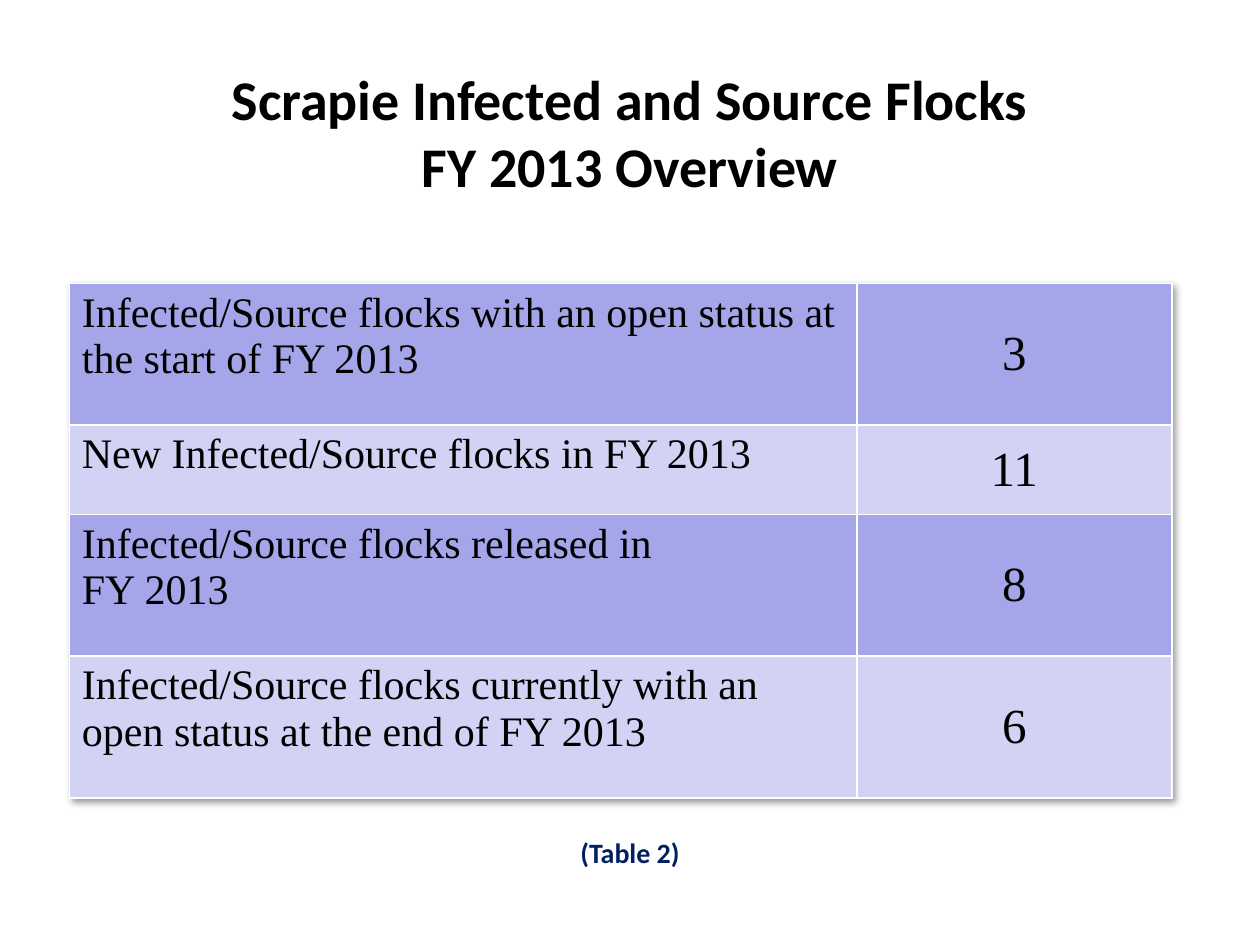
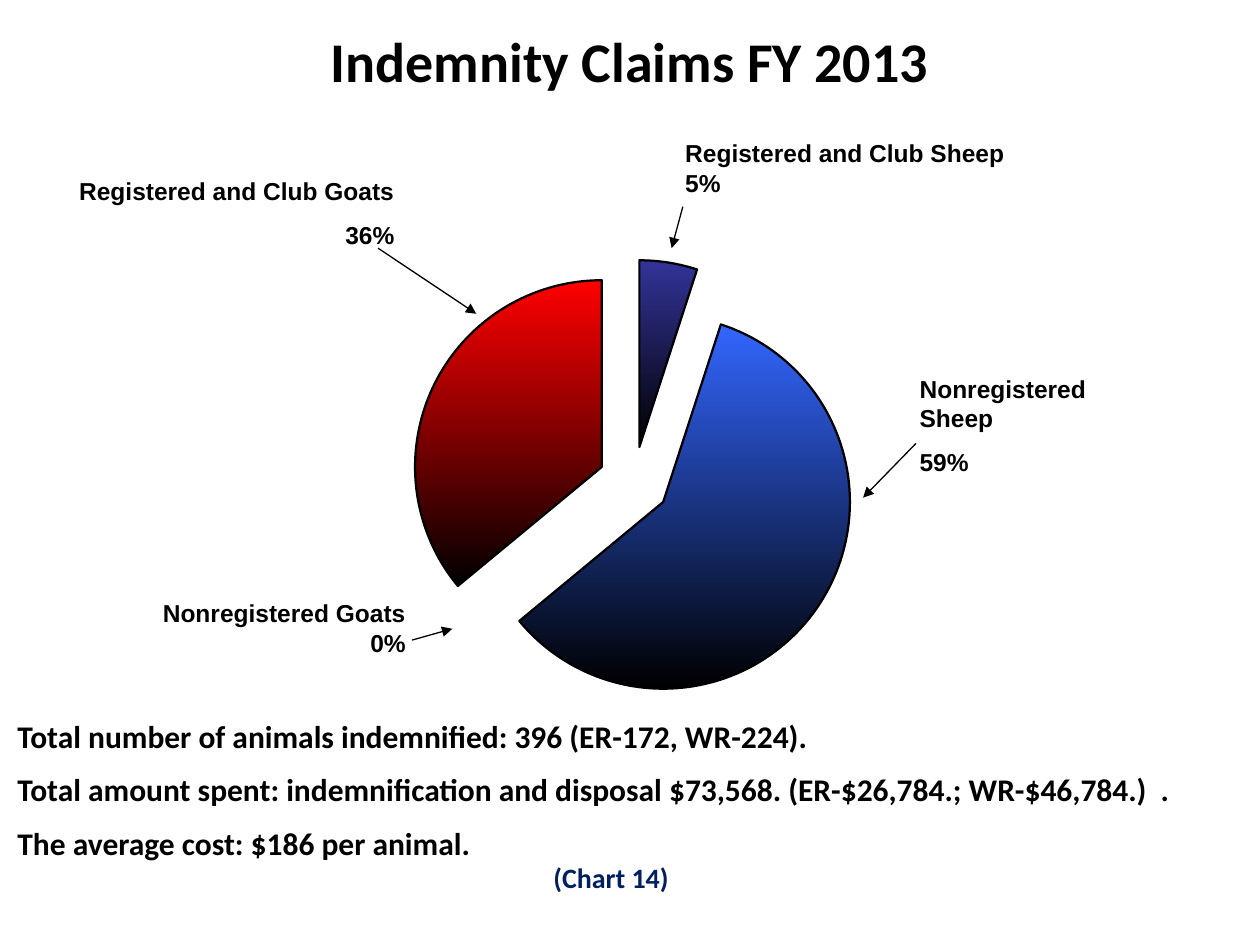
from lxml.etree import SubElement
from pptx import Presentation
from pptx.chart.data import CategoryChartData
from pptx.dml.color import RGBColor
from pptx.enum.chart import XL_CHART_TYPE
from pptx.enum.shapes import MSO_CONNECTOR
from pptx.enum.text import MSO_ANCHOR, PP_ALIGN
from pptx.oxml import parse_xml
from pptx.oxml.ns import nsdecls, qn
from pptx.util import Pt

COLORS = {
    "ink": "000000", "caption": "002060", "border": "FFFFFF",
    "band_dark": "A5A5E9", "band_light": "D2D2F4",
    "club_sheep": "333399", "other_sheep": "3366FF", "club_goats": "FF0000",
}
TITLE = {"name": "Calibri", "size": Pt(32), "bold": True}
CAPTION = {"name": "Calibri", "size": Pt(16), "bold": True}
TOTALS = {"name": "Calibri", "size": Pt(18), "bold": True}
LABEL = {"name": "Arial", "size": Pt(14), "bold": True}
ROW_TEXT = {"name": "Times New Roman", "size": Pt(24), "bold": False}
ROW_COUNT = {"name": "Times New Roman", "size": Pt(28), "bold": False}


def rgb(name):
    return RGBColor.from_string(COLORS[name])


def style_font(font, style, color="ink"):
    for key, value in style.items():
        setattr(font, key, value)
    font.color.rgb = rgb(color)


class PageBuilder:
    def __init__(self, width, height):
        self.deck = Presentation()
        self.deck.slide_width, self.deck.slide_height = Pt(width), Pt(height)
        self.page = None

    def new_page(self):
        self.page = self.deck.slides.add_slide(self.deck.slide_layouts[6])

    def fill_text(self, frame, lines, style, align, color="ink", gap=0):
        for index, line in enumerate(lines):
            para = frame.add_paragraph() if index else frame.paragraphs[0]
            para.text = line
            para.alignment = align
            if index:
                para.space_before = Pt(gap)
            for span in para.runs:
                style_font(span.font, style, color)

    def text(self, place, lines, style, align=PP_ALIGN.LEFT, color="ink",
             gap=0, anchor=MSO_ANCHOR.TOP):
        box = self.page.shapes.add_textbox(*map(Pt, place))
        frame = box.text_frame
        frame.word_wrap = True
        frame.vertical_anchor = anchor
        self.fill_text(frame, lines, style, align, color, gap)

    def title(self, top, height, words):
        self.text((54, top, 612, height), [words], TITLE, PP_ALIGN.CENTER,
                  anchor=MSO_ANCHOR.MIDDLE)

    def caption(self, left, top, words):
        self.text((left, top, 720, 26.6), [words], CAPTION, PP_ALIGN.CENTER, "caption")

    def arrow(self, start, end):
        line = self.page.shapes.add_connector(MSO_CONNECTOR.STRAIGHT, *map(Pt, start + end))
        line.line.color.rgb = rgb("ink")
        line.line.width = Pt(0.75)
        SubElement(line.line._get_or_add_ln(), qn("a:tailEnd"), type="triangle")
        SubElement(line._element.spPr, qn("a:effectLst"))

    def cell(self, cell, words, style, align, anchor, fill):
        cell.fill.solid()
        cell.fill.fore_color.rgb = rgb(fill)
        cell.vertical_anchor = anchor
        self.fill_text(cell.text_frame, [words], style, align)
        properties = cell._tc.get_or_add_tcPr()
        for index, side in enumerate("LRTB"):
            properties.insert(index, parse_xml(
                f'<a:ln{side} {nsdecls("a")} w="{Pt(1)}"><a:solidFill>'
                f'<a:srgbClr val="{COLORS["border"]}"/></a:solidFill></a:ln{side}>'))

    def count_table(self, place, widths, heights, rows):
        table = self.page.shapes.add_table(
            len(rows), len(widths), *map(Pt, place), Pt(sum(widths)), Pt(sum(heights))).table
        table.first_row = table.horz_banding = False
        for column, width in zip(table.columns, widths):
            column.width = Pt(width)
        for index, (words, count) in enumerate(rows):
            table.rows[index].height = Pt(heights[index])
            fill = "band_light" if index % 2 else "band_dark"
            self.cell(table.cell(index, 0), words, ROW_TEXT, PP_ALIGN.LEFT,
                      MSO_ANCHOR.TOP, fill)
            self.cell(table.cell(index, 1), count, ROW_COUNT, PP_ALIGN.CENTER,
                      MSO_ANCHOR.MIDDLE, fill)
        # Soft shadow at the lower right
        table._tbl.tblPr.insert(0, parse_xml(
            f'<a:effectLst {nsdecls("a")}><a:outerShdw blurRad="{Pt(4)}" dist="{Pt(3)}" '
            f'dir="2700000" algn="tl"><a:srgbClr val="{COLORS["ink"]}">'
            '<a:alpha val="40000"/></a:srgbClr></a:outerShdw></a:effectLst>'))

    def exploded_pie(self, place, values, slice_colors, layout):
        data = CategoryChartData()
        data.categories = [str(number + 1) for number in range(len(values))]
        data.add_series("Series 1", values)
        chart = self.page.shapes.add_chart(XL_CHART_TYPE.PIE, *map(Pt, place), data).chart
        chart.has_legend = chart.has_title = False
        style_font(chart.font, {"name": "Arial", "size": Pt(17.3), "bold": True})
        plot = chart.plots[0]
        plot.vary_by_categories = True
        series = plot.series[0]
        for index, color in slice_colors.items():
            look = series.points[index].format
            look.fill.gradient()
            look.fill.gradient_angle = 270
            for stop, name in zip(look.fill.gradient_stops, (color, "ink")):
                stop.color.rgb = rgb(name)
            look.line.color.rgb = rgb("ink")
            look.line.width = Pt(1.28)
        # Explosion follows the series heading; layout opens the plot area
        explosion = parse_xml(f'<c:explosion {nsdecls("c")} val="19"/>')
        series._element.find(qn("c:dPt")).addprevious(explosion)
        for point in series._element.findall(qn("c:dPt")):
            point.find(qn("c:spPr")).addprevious(
                parse_xml(f'<c:explosion {nsdecls("c")} val="19"/>'))
        area = chart._chartSpace.chart.plotArea
        for old in area.findall(qn("c:layout")):
            area.remove(old)
        sizes = "".join(f'<c:{key} val="{value}"/>' for key, value in zip("xywh", layout))
        area.insert(0, parse_xml(
            f'<c:layout {nsdecls("c")}><c:manualLayout><c:layoutTarget val="inner"/>'
            f'<c:xMode val="edge"/><c:yMode val="edge"/>{sizes}</c:manualLayout></c:layout>'))


def flock_page(builder):
    builder.new_page()
    builder.title(30, 90, "Scrapie Infected and Source Flocks\nFY 2013 Overview")
    builder.count_table((39.6, 162), (450, 180), (81, 51, 81, 81), [
        ("Infected/Source flocks with an open status at the start of FY 2013", "3"),
        ("New Infected/Source flocks in FY 2013", "11"),
        ("Infected/Source flocks released in\nFY 2013", "8"),
        ("Infected/Source flocks currently with an open status at the end of FY 2013", "6"),
    ])
    builder.caption(0, 474, "(Table 2)")


def indemnity_page(builder):
    builder.new_page()
    builder.title(-0.7, 70, "Indemnity Claims FY 2013")
    builder.exploded_pie((142, 121, 440.5, 306), (5, 59, None, 36, 0),
                         {0: "club_sheep", 1: "other_sheep", 3: "club_goats"},
                         (0.16, 0.09, 0.68, 0.83))
    # Slice labels: place, name, share, alignment, gap
    labels = [
        ((4.3, 97.2, 228.2, 50), "Registered and Club Goats", "36%", PP_ALIGN.RIGHT, 8),
        ((518.4, 210.2, 154.8, 50), "Nonregistered Sheep", "59%", PP_ALIGN.LEFT, 8),
        ((384.5, 75.6, 203.8, 41), "Registered and Club Sheep", "5%", PP_ALIGN.LEFT, 0),
        ((59, 338.4, 180, 41), "Nonregistered Goats", "0%", PP_ALIGN.RIGHT, 0),
    ]
    for place, name, share, align, gap in labels:
        builder.text(place, [name, share], LABEL, align, gap=gap)
    # Arrows from labels to slices
    for start, end in [
        ((235.4, 365.8), (258.5, 359.3)), ((390.2, 118.1), (383.8, 141.8)),
        ((216, 141.8), (272.2, 179.3)), ((523.4, 253.4), (493.2, 284.4)),
    ]:
        builder.arrow(start, end)
    # Totals
    builder.text((2.9, 406, 707.8, 94.3), [
        "Total number of animals indemnified: 396 (ER-172, WR-224).",
        "Total amount spent: indemnification and disposal $73,568. "
        "(ER-$26,784.; WR-$46,784.)  .",
        "The average cost: $186 per animal.",
    ], TOTALS, gap=9)
    builder.caption(-10.8, 488.2, "(Chart 14)")


def main():
    builder = PageBuilder(720, 540)
    flock_page(builder)
    indemnity_page(builder)
    builder.deck.save("out.pptx")


if __name__ == "__main__":
    main()
